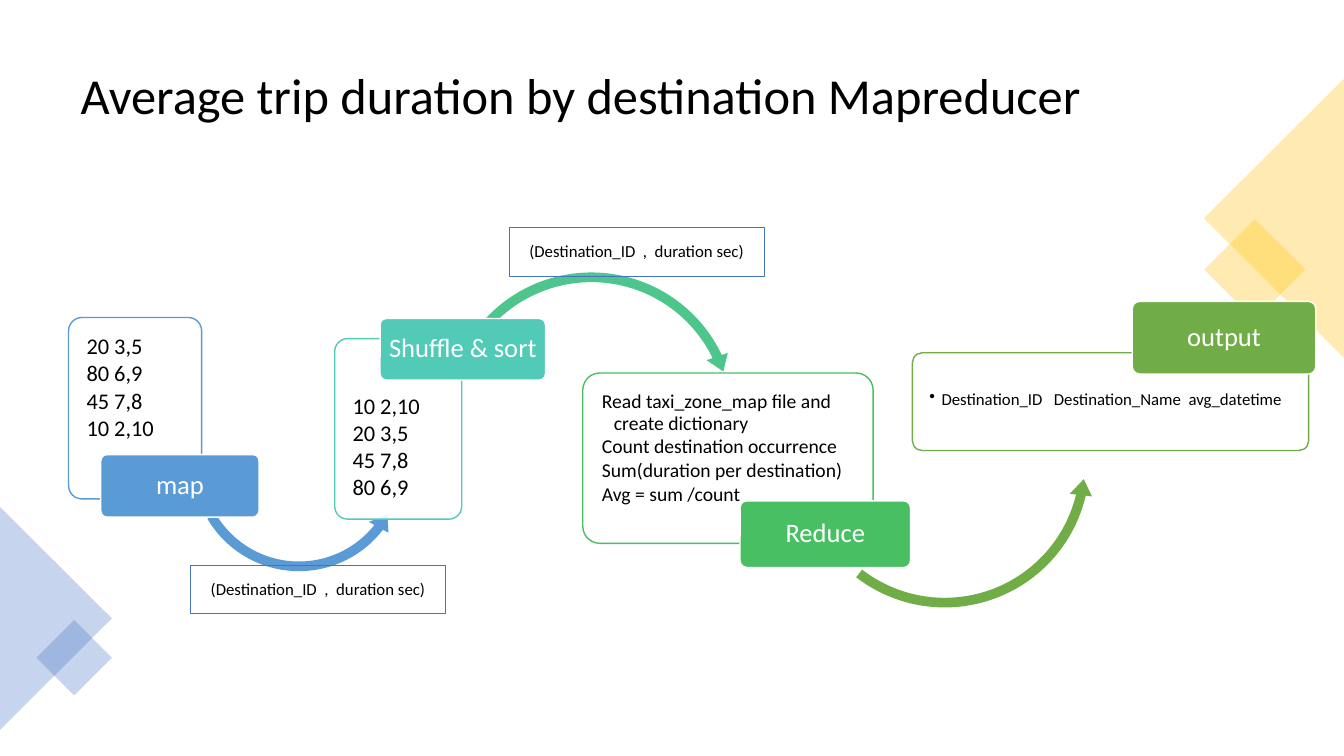
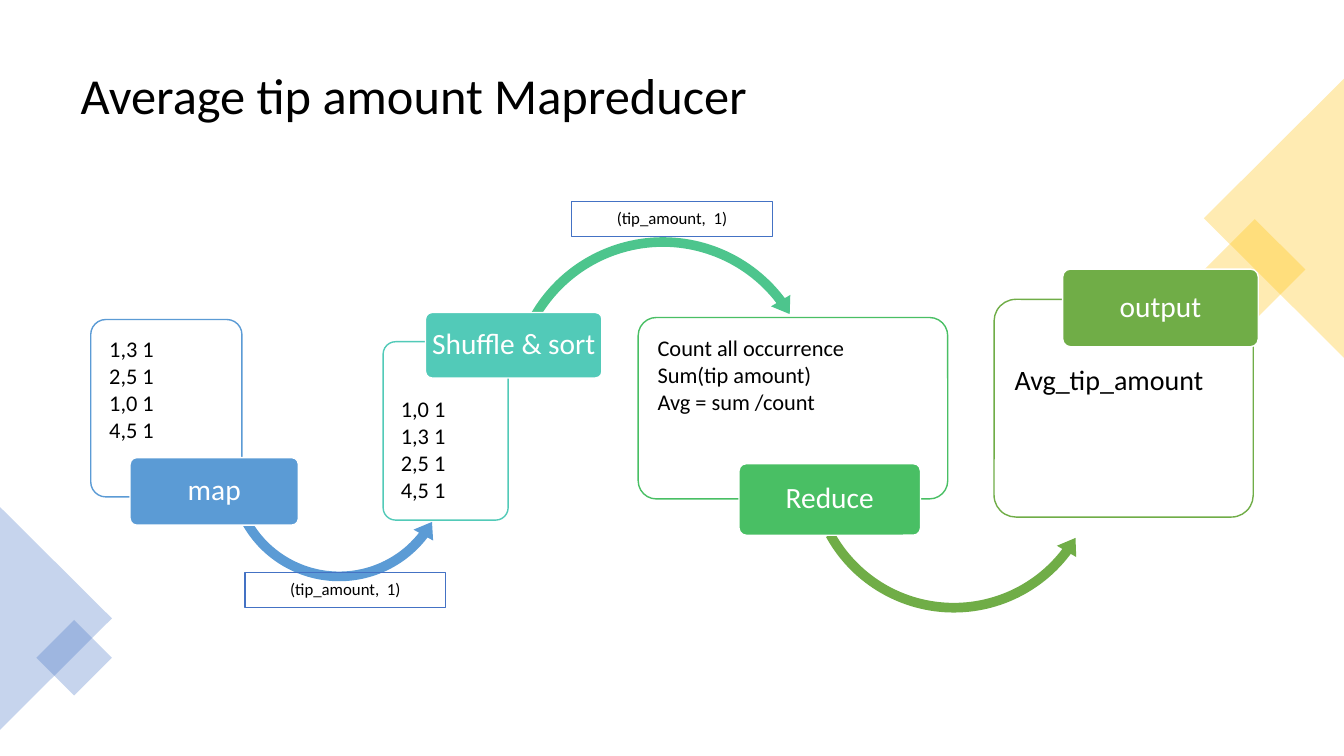
from dataclasses import dataclass
from typing import NamedTuple

import pptx
import pptx.dml.color
import pptx.enum.shapes
import pptx.enum.text
import pptx.oxml
import pptx.oxml.ns
import pptx.util

Inches = pptx.util.Inches
Pt = pptx.util.Pt
FORM = pptx.enum.shapes.MSO_SHAPE
ALIGN = pptx.enum.text.PP_ALIGN
ANCHOR = pptx.enum.text.MSO_ANCHOR


@dataclass(frozen=True)
class Theme:
    font: str = "Calibri"
    ink: str = "000000"
    white: str = "FFFFFF"
    blue: str = "4472C4"
    gold: str = "FFC000"
    sky: str = "5B9BD5"
    teal: str = "52CAB8"
    mint: str = "4DC58D"
    green: str = "49BF64"
    leaf: str = "70AD47"
    title: int = 36
    note: int = 12


class Card(NamedTuple):
    area: tuple
    label: tuple
    lines: list
    size: int = 16
    hang: float = 0.19
    bullet: bool = False


class Arc(NamedTuple):
    left: float
    top: float
    size: float
    turn: float
    end: float
    start: float


class Deck:
    def __init__(self, theme):
        self.theme = theme
        self.file = pptx.Presentation()
        self.file.slide_width = Inches(13.33)
        self.file.slide_height = Inches(7.5)
        self.slide = None

    def page(self, title):
        """Start a slide with its title and the corner diamonds."""
        self.slide = self.file.slides.add_slide(self.file.slide_layouts[5])
        head = self.slide.shapes.title
        head.left, head.top, head.width, head.height = map(
            Inches, (0.7, 0.35, 11.93, 1.24))
        self.text(head.text_frame, [title], self.theme.title,
                  self.theme.ink, ALIGN.LEFT)
        gold, blue = self.theme.gold, self.theme.blue
        for form, area, turn, hue in (
                (FORM.RECTANGLE, (12.09, 2.32, 0.71, 0.71), 45, gold),
                (FORM.ISOSCELES_TRIANGLE, (11.25, 1.47, 2.77, 1.39), 270, gold),
                (FORM.ISOSCELES_TRIANGLE, (-0.55, 5.58, 2.21, 1.11), 90, blue),
                (FORM.RECTANGLE, (0.47, 6.26, 0.53, 0.53), 45, blue)):
            self.shape(form, area, hue, alpha=30).rotation = turn

    def shape(self, form, area, fill=None, line=None, width=1, alpha=100):
        item = self.slide.shapes.add_shape(form, *map(Inches, area))
        item.shadow.inherit = False
        if fill:
            item.fill.solid()
            item.fill.fore_color.rgb = pptx.dml.color.RGBColor.from_string(fill)
            if alpha < 100:
                tint = item.element.spPr.find(
                    pptx.oxml.ns.qn("a:solidFill")).find(
                    pptx.oxml.ns.qn("a:srgbClr"))
                tint.append(pptx.oxml.parse_xml(
                    f'<a:alpha {pptx.oxml.ns.nsdecls("a")} val="{alpha * 1000}"/>'))
        else:
            item.fill.background()
        if line:
            item.line.color.rgb = pptx.dml.color.RGBColor.from_string(line)
            item.line.width = Pt(width)
        else:
            item.line.fill.background()
        return item

    def text(self, frame, lines, size, hue, align, anchor=ANCHOR.MIDDLE,
             pads=(0.1, 0.05, 0.1, 0.05), hang=0, bullet=False):
        frame.text = "\n".join(lines)
        frame.word_wrap = True
        frame.auto_size = pptx.enum.text.MSO_AUTO_SIZE.NONE
        frame.vertical_anchor = anchor
        (frame.margin_left, frame.margin_top,
         frame.margin_right, frame.margin_bottom) = map(Inches, pads)
        for para in frame.paragraphs:
            if hang:
                props = para._p.get_or_add_pPr()
                props.set("marL", str(Inches(hang)))
                props.set("indent", str(-Inches(hang)))
                if bullet:
                    props.append(pptx.oxml.parse_xml(
                        f'<a:buChar {pptx.oxml.ns.nsdecls("a")} char="•"/>'))
            para.alignment = align
            para.line_spacing = 0.9
            para.space_after = Pt(round(0.13 * size, 1))
            for run in para.runs:
                run.font.name = self.theme.font
                run.font.size = Pt(size)
                run.font.color.rgb = pptx.dml.color.RGBColor.from_string(hue)

    def card(self, card, hue, low):
        """Draw a stage's box; low drops its text below a label on top."""
        item = self.shape(FORM.ROUNDED_RECTANGLE, card.area,
                          self.theme.white, hue, alpha=90)
        item.adjustments[0] = 0.1
        drop = card.area[3] * 3 / 14 if low else 0
        self.text(item.text_frame, card.lines, card.size, self.theme.ink,
                  ALIGN.LEFT, ANCHOR.TOP, (0.14, 0.14 + drop, 0.14, 0),
                  card.hang, card.bullet)

    def label(self, area, text, hue, size):
        item = self.shape(FORM.ROUNDED_RECTANGLE, area, hue, self.theme.white)
        item.adjustments[0] = 0.1
        self.text(item.text_frame, [text], size, self.theme.white,
                  ALIGN.CENTER, pads=(0.04, 0.03, 0.04, 0.03))

    def arc(self, form, arc, hue):
        """Draw a curved arrow of the same weight at any size."""
        side = Inches(arc.size)
        item = self.shape(form, (arc.left, arc.top, arc.size, arc.size), hue)
        item.rotation = arc.turn
        values = (Pt(6.9) / side, 11.9 / arc.size, arc.end, arc.start,
                  Pt(8) / side)
        for spot, value in enumerate(values):
            item.adjustments[spot] = value

    def note(self, area, text):
        item = self.shape(FORM.RECTANGLE, area, line=self.theme.blue, width=0.75)
        self.text(item.text_frame, [text], self.theme.note, self.theme.ink,
                  ALIGN.CENTER)

    def flow(self, cards, arcs, size):
        """Draw the four stages and the arrows that lead from each to the next."""
        look = self.theme
        under, over = FORM.LEFT_CIRCULAR_ARROW, FORM.CIRCULAR_ARROW
        stages = (("map", look.sky, False, under, look.sky),
                  ("Shuffle & sort", look.teal, True, over, look.mint),
                  ("Reduce", look.green, False, under, look.leaf),
                  ("output", look.leaf, True, None, None))
        for (name, hue, low, form, tone), card, arc in zip(
                stages, cards, arcs + [None]):
            self.card(card, hue, low)
            if arc:
                self.arc(form, arc, tone)
            self.label(card.label, name, hue, size)


def main():
    deck = Deck(Theme())

    deck.page("Average trip duration by destination Mapreducer")
    deck.flow(
        [Card((0.68, 3.15, 1.32, 1.8), (1, 4.51, 1.57, 0.62),
              ["20 3,5", "80 6,9", "45 7,8", "10 2,10"]),
         Card((3.32, 3.36, 1.26, 1.79), (3.77, 3.16, 1.64, 0.61),
              ["10 2,10", "20 3,5", "45 7,8", "80 6,9"]),
         Card((5.78, 3.7, 2.88, 1.69), (7.34, 4.97, 1.69, 0.66),
              ["Read taxi_zone_map file and create dictionary",
               "Count destination occurrence",
               "Sum(duration per destination)", "Avg = sum /count"],
              14, 0.12),
         Card((9.05, 3.5, 3.93, 0.97), (11.23, 2.99, 1.82, 0.72),
              ["Destination_ID   Destination_Name  avg_datetime"],
              12, 0.12, True)],
        [Arc(1.85, 3.5, 2.23, 348.4, 29.72, 96.76),
         Arc(4.37, 2.64, 2.99, 6.4, 196.81, 128.28),
         Arc(7.87, 3.09, 3, 348.1, 15.18, 83.73)], 19)
    for left, top in ((1.89, 5.61), (5.05, 2.26)):
        deck.note((left, top, 2.53, 0.48), "(Destination_ID  ,  duration sec)")

    deck.page("Average tip amount Mapreducer")
    deck.flow(
        [Card((0.9, 3.17, 1.5, 1.76), (1.29, 4.54, 1.67, 0.67),
              ["1,3 1", "2,5 1", "1,0 1", "4,5 1"]),
         Card((3.8, 3.39, 1.24, 1.77), (4.22, 3.1, 1.75, 0.65),
              ["1,0 1", "1,3 1", "2,5 1", "4,5 1"]),
         Card((6.33, 3.15, 3.07, 1.8), (7.33, 4.6, 1.8, 0.71),
              ["Count all occurrence", "Sum(tip amount)", "Avg = sum /count"]),
         Card((9.86, 2.97, 2.57, 2.16), (10.54, 2.67, 1.94, 0.77),
              ["Avg_tip_amount"], 20, 0.25)],
        [Arc(2.2, 3.5, 2.33, 348.4, 29.56, 96.87),
         Arc(5, 2.29, 3.15, 6.4, 189.91, 121.16),
         Arc(7.95, 3.12, 3.02, 0, 22.15, 90.72)], 21)
    for left, top in ((2.43, 5.68), (5.67, 2)):
        deck.note((left, top, 1.99, 0.35), "(tip_amount,  1)")

    deck.file.save("out.pptx")


if __name__ == "__main__":
    main()
